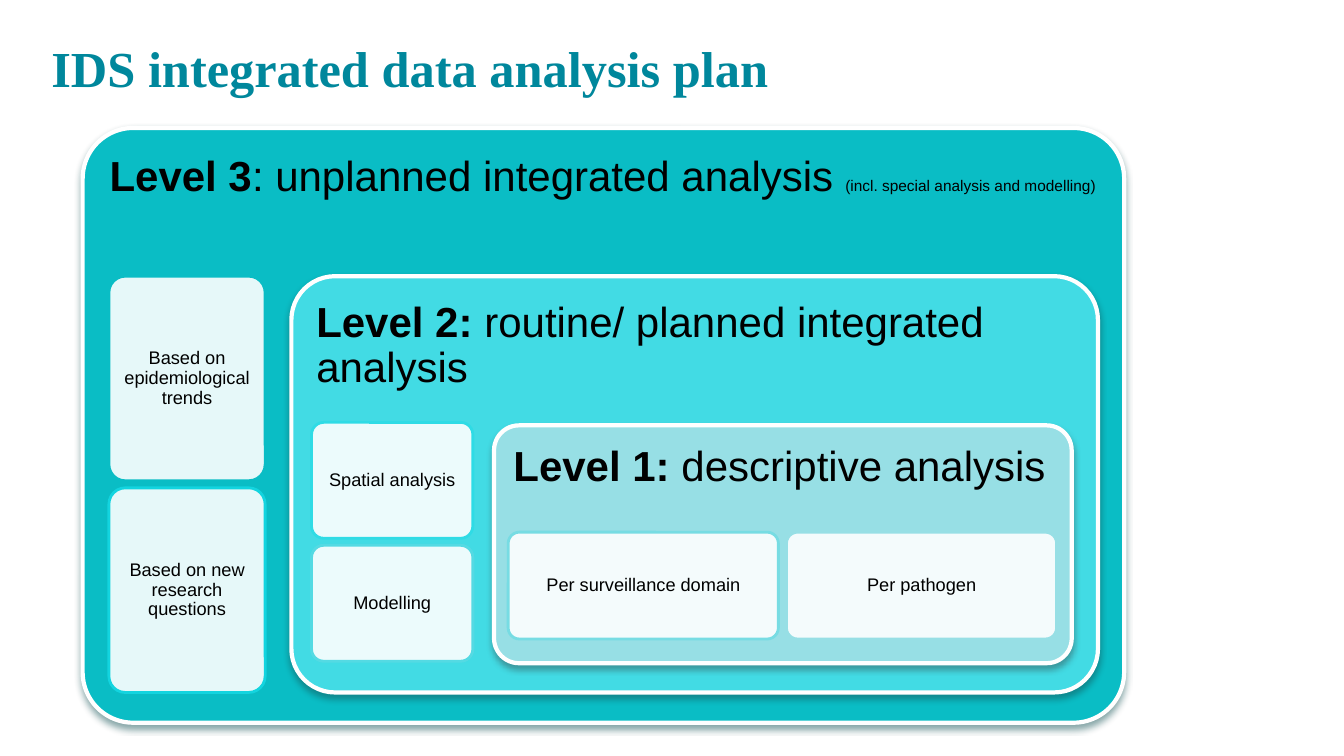
from dataclasses import dataclass

from lxml.etree import SubElement
from pptx import Presentation
from pptx.dml.color import RGBColor
from pptx.enum.shapes import MSO_SHAPE
from pptx.enum.text import MSO_ANCHOR, PP_ALIGN
from pptx.oxml.ns import qn
from pptx.util import Inches, Pt


@dataclass(frozen=True)
class Theme:
    heading_font: str = "Times New Roman"
    body_font: str = "Arial"
    title_color: str = "00879C"
    text_color: str = "000000"
    white: str = "FFFFFF"
    title_size: int = 36
    level_size: int = 30
    note_size: int = 11
    card_size: int = 13
    level_line: int = 3
    card_line: int = 2


theme = Theme()


def add_run(paragraph, text, size, color=theme.text_color, bold=False, name=theme.body_font):
    run = paragraph.add_run()
    run.text = text
    run.font.name = name
    run.font.size = Pt(size)
    run.font.bold = bold
    run.font.color.rgb = RGBColor.from_string(color)


def add_rounded_box(position, corner, fill, line, line_width, margin):
    shape = slide.shapes.add_shape(MSO_SHAPE.ROUNDED_RECTANGLE, *map(Inches, position))
    shape.adjustments[0] = corner
    shape.shadow.inherit = False
    shape.fill.solid()
    shape.fill.fore_color.rgb = RGBColor.from_string(fill)
    shape.line.color.rgb = RGBColor.from_string(line)
    shape.line.width = Pt(line_width)
    frame = shape.text_frame
    frame.word_wrap = True
    frame.margin_left = frame.margin_right = Inches(margin)
    frame.margin_top = frame.margin_bottom = Inches(margin)
    frame.paragraphs[0].line_spacing = 0.9
    return shape


presentation = Presentation()
presentation.slide_width = Inches(13.33)
presentation.slide_height = Inches(7.5)
slide = presentation.slides.add_slide(presentation.slide_layouts[6])

# Title
title = slide.shapes.add_textbox(Inches(0.51), Inches(0.02), Inches(12), Inches(1.25))
title_frame = title.text_frame
title_frame.word_wrap = True
title_frame.vertical_anchor = MSO_ANCHOR.MIDDLE
title_frame.margin_left = title_frame.margin_right = title_frame.margin_bottom = 0
add_run(title_frame.paragraphs[0], "IDS integrated data analysis plan",
        theme.title_size, theme.title_color, True, theme.heading_font)

# Nested levels, outermost first: position, corner, fill, shadow, label, text, note,
# then cards: first position, step right, step down, (text, outline) pairs
levels = [
    ((0.82, 1.27, 10.33, 5.9), 0.085, "0ABDC5", "024447",
     "Level 3", ": unplanned integrated analysis ", "(incl. special analysis and modelling)",
     (1.08, 2.74, 1.55, 2.03), 0, 2.1,
     [("Based on epidemiological trends", "0ABDC5"),
      ("Based on new research questions", "13D4DF")]),
    ((2.89, 2.74, 8, 4.13), 0.105, "42DBE4", "164E51",
     "Level 2:", " routine/ planned integrated analysis", "",
     (3.09, 4.19, 1.6, 1.15), 0, 1.22,
     [("Spatial analysis", "2FDBE5"), ("Modelling", "54DAE3")]),
    ((4.9, 4.22, 5.73, 2.36), 0.105, "97DFE5", "344F51",
     "Level 1:", " descriptive analysis", "",
     (5.04, 5.28, 2.68, 1.06), 2.76, 0,
     [("Per surveillance domain", "77DCE3"), ("Per pathogen", "97DFE5")]),
]

for (position, corner, fill, shadow_color, label, text, note,
     first_card, step_right, step_down, cards) in levels:
    # Level panel with its soft shadow
    panel = add_rounded_box(position, corner, fill, theme.white, theme.level_line, 0.12)
    effects = panel.element.spPr.find(qn("a:effectLst"))
    shadow = SubElement(effects, qn("a:outerShdw"), blurRad=str(Pt(4.5)), dist=str(Pt(3)),
                        dir="5400000", algn="ctr", rotWithShape="0")
    shadow_rgb = SubElement(shadow, qn("a:srgbClr"), val=shadow_color)
    SubElement(shadow_rgb, qn("a:alpha"), val="48000")
    panel.text_frame.vertical_anchor = MSO_ANCHOR.TOP
    heading = panel.text_frame.paragraphs[0]
    heading.alignment = PP_ALIGN.LEFT
    add_run(heading, label, theme.level_size, bold=True)
    add_run(heading, text, theme.level_size)
    if note:
        add_run(heading, note, theme.note_size)

    # Translucent cards inside the panel
    left, top, width, height = first_card
    for index, (card_text, outline) in enumerate(cards):
        card_position = (left + index * step_right, top + index * step_down, width, height)
        card = add_rounded_box(card_position, 0.105, theme.white, outline,
                               theme.card_line, 0.05)
        card_rgb = card.element.spPr.find(qn("a:solidFill")).find(qn("a:srgbClr"))
        SubElement(card_rgb, qn("a:alpha"), val="90000")
        card.text_frame.vertical_anchor = MSO_ANCHOR.MIDDLE
        paragraph = card.text_frame.paragraphs[0]
        paragraph.alignment = PP_ALIGN.CENTER
        add_run(paragraph, card_text, theme.card_size)

presentation.save("out.pptx")
